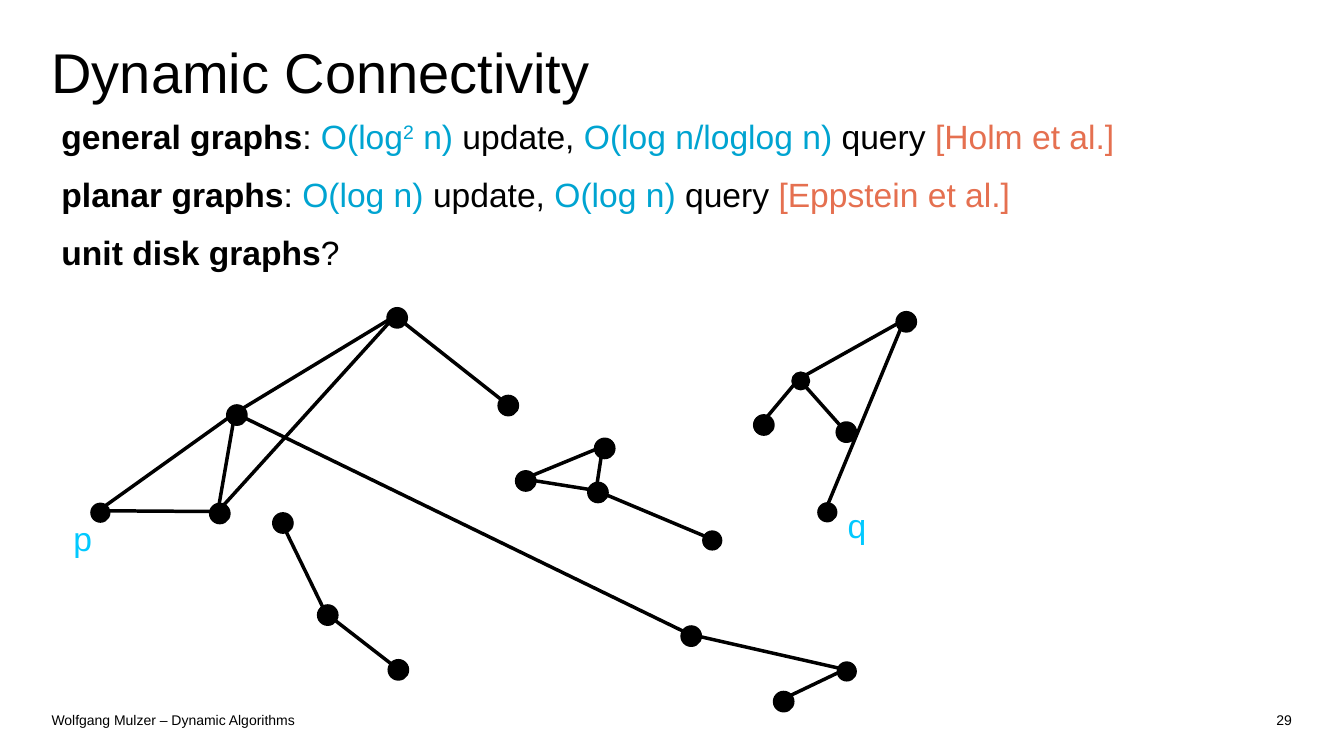
from lxml.etree import SubElement
from pptx import Presentation
from pptx.dml.color import RGBColor
from pptx.enum.shapes import MSO_CONNECTOR, MSO_SHAPE
from pptx.enum.text import MSO_ANCHOR, MSO_AUTO_SIZE, PP_ALIGN
from pptx.oxml.ns import qn
from pptx.util import Cm, Pt

COLORS = {"black": "000000", "bound": "00A4D1", "citation": "E57050", "label": "02C9FF"}
LEFT = 1.3

# Node centres in cm
NODES = {
    "peak": (10.01, 8.01), "peak leaf": (12.81, 10.22), "hub": (5.97, 10.46),
    "p": (2.53, 12.92), "base": (5.54, 12.94), "south": (17.42, 16.03),
    "south east": (21.34, 16.92), "south leaf": (19.75, 17.68),
    "path start": (7.13, 13.18), "path middle": (8.26, 15.5), "path end": (10.04, 16.88),
    "triangle top": (15.24, 11.3), "triangle left": (13.25, 12.12),
    "triangle bottom": (15.07, 12.41), "triangle leaf": (17.95, 13.62),
    "root": (22.84, 8.11), "fork": (20.18, 9.6), "fork left": (19.25, 10.71),
    "fork right": (21.33, 10.89), "q": (20.85, 12.91),
}
UNOUTLINED = {"p", "q", "triangle leaf", "south east"}
EDGES = [
    ("p", "base"), ("p", "hub"), ("base", "hub"), ("base", "peak"), ("hub", "peak"),
    ("peak", "peak leaf"), ("hub", "south"), ("south", "south east"),
    ("south east", "south leaf"), ("path start", "path middle"),
    ("path middle", "path end"), ("triangle top", "triangle left"),
    ("triangle top", "triangle bottom"), ("triangle left", "triangle bottom"),
    ("triangle bottom", "triangle leaf"), ("root", "fork"), ("root", "q"),
    ("fork", "fork left"), ("fork", "fork right"),
]

# Each run is (text, style)
RESULTS = [
    (27.36, [("general graphs", "bold"), (": ", "plain"), ("O(log", "bound"),
             ("2", "exponent"), (" n) ", "bound"), ("update, ", "plain"),
             ("O(log n/loglog n) ", "bound"), ("query ", "plain"),
             ("[Holm et al.]", "citation")]),
    (24.43, [("planar graphs", "bold"), (": ", "plain"), ("O(log n) ", "bound"),
             ("update,", "plain"), (" O(log n) ", "bound"), ("query ", "plain"),
             ("[Eppstein et al.]", "citation")]),
    (7.52, [("unit disk graphs", "bold"), ("?", "plain")]),
]
RUN_COLORS = {"bold": "black", "plain": "black", "exponent": "bound"}


class GraphSlide:
    font_name = "Arial"
    edge_width = Pt(2.5)
    outline_width = Pt(1.08)
    edge_shift = -0.05

    def __init__(self, presentation):
        self.slide = presentation.slides.add_slide(presentation.slide_layouts[5])

    def color(self, name):
        return RGBColor.from_string(COLORS[name])

    def add_runs(self, paragraph, runs, size):
        for text, style in runs:
            run = paragraph.add_run()
            run.text = text
            run.font.name = self.font_name
            run.font.size = Pt(size)
            run.font.bold = style == "bold"
            run.font.color.rgb = self.color(RUN_COLORS.get(style, style))
            if style == "exponent":
                run._r.get_or_add_rPr().set("baseline", "30000")

    def clear_margins(self, frame):
        frame.margin_left = frame.margin_right = 0
        frame.margin_top = frame.margin_bottom = 0

    def title(self, text):
        shape = self.slide.shapes.title
        shape.left, shape.top = Cm(LEFT), Cm(0.94)
        shape.width, shape.height = Cm(31.27), Cm(3.91)
        frame = shape.text_frame
        self.clear_margins(frame)
        frame.auto_size = MSO_AUTO_SIZE.NONE
        frame.vertical_anchor = MSO_ANCHOR.TOP
        paragraph = frame.paragraphs[0]
        paragraph.alignment = PP_ALIGN.LEFT
        self.add_runs(paragraph, [(text, "plain")], 40)

    def text(self, left, top, width, runs, height=1.27, size=24):
        box = self.slide.shapes.add_textbox(Cm(left), Cm(top), Cm(width), Cm(height))
        frame = box.text_frame
        frame.word_wrap = True
        frame.auto_size = MSO_AUTO_SIZE.SHAPE_TO_FIT_TEXT
        self.add_runs(frame.paragraphs[0], runs, size)
        return frame

    def footer(self, left, width, text, alignment):
        frame = self.text(left, 17.75, width, [(text, "plain")], height=0.79, size=10)
        self.clear_margins(frame)
        frame.auto_size = MSO_AUTO_SIZE.NONE
        frame.vertical_anchor = MSO_ANCHOR.MIDDLE
        frame.paragraphs[0].alignment = alignment

    def edge(self, start, end):
        """Join two node centres, shifted slightly up and to the left."""
        ends = [Cm(value + self.edge_shift) for value in (*start, *end)]
        connector = self.slide.shapes.add_connector(MSO_CONNECTOR.STRAIGHT, *ends)
        connector.line.color.rgb = self.color("black")
        connector.line.width = self.edge_width
        SubElement(connector._element.spPr, qn("a:effectLst"))

    def node(self, center, diameter, outlined):
        left, top = (Cm(value - diameter / 2) for value in center)
        shape = self.slide.shapes.add_shape(
            MSO_SHAPE.OVAL, left, top, Cm(diameter), Cm(diameter))
        shape.shadow.inherit = False
        shape.fill.solid()
        shape.fill.fore_color.rgb = self.color("black")
        if outlined:
            shape.line.color.rgb = self.color("black")
            shape.line.width = self.outline_width
        else:
            shape.line.fill.background()


def main():
    presentation = Presentation()
    presentation.slide_width, presentation.slide_height = Cm(33.87), Cm(19.05)
    page = GraphSlide(presentation)
    page.title("Dynamic Connectivity")
    for row, (width, runs) in enumerate(RESULTS):
        page.text(LEFT, 2.79 + 1.46 * row, width, runs)
    for start, end in EDGES:
        page.edge(NODES[start], NODES[end])
    for name, center in NODES.items():
        page.node(center, 0.44 if name == "fork" else 0.51, name not in UNOUTLINED)
    page.text(1.6, 12.93, 1.04, [("p", "label")])
    page.text(21.11, 12.6, 0.81, [("q", "label")])
    page.footer(LEFT, 27.36, "Wolfgang Mulzer – Dynamic Algorithms", PP_ALIGN.LEFT)
    page.footer(28.65, 3.91, "29", PP_ALIGN.RIGHT)
    presentation.save("out.pptx")


if __name__ == "__main__":
    main()
